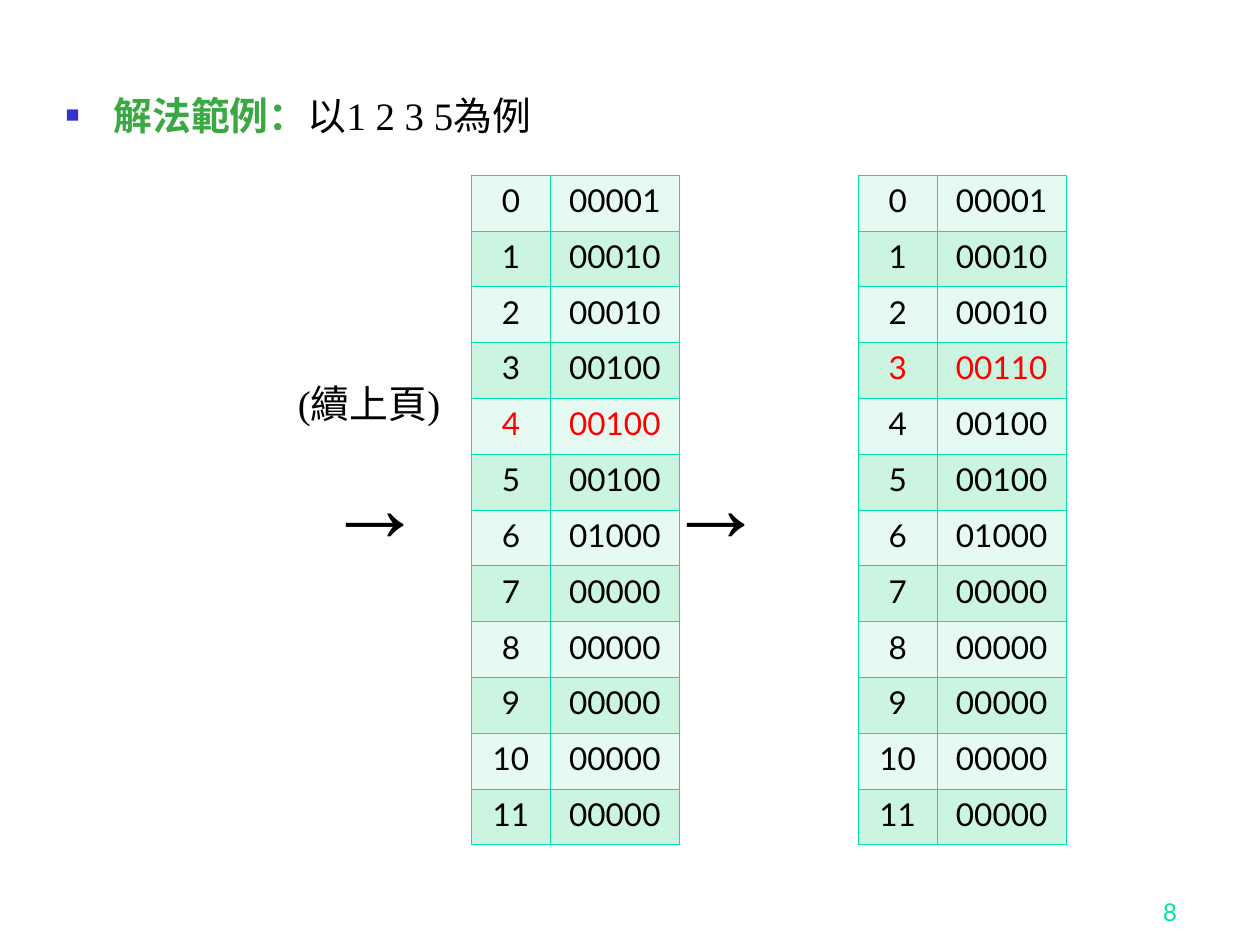
from lxml import etree
from pptx import Presentation
from pptx.dml.color import RGBColor
from pptx.enum import text as t
from pptx.oxml import ns
from pptx.util import Inches, Pt

BLACK = RGBColor(0x00, 0x00, 0x00)
RED = RGBColor(0xFF, 0x00, 0x00)
GREEN = RGBColor(0x3B, 0xA9, 0x43)
MINT = RGBColor(0x00, 0xE4, 0xA8)
BULLET_BLUE = RGBColor(0x33, 0x33, 0xCC)
ROW_FILLS = (RGBColor(0xE7, 0xFA, 0xF1), RGBColor(0xCB, 0xF5, 0xE1))

SERIF, SANS = "Times New Roman", "Lato"
BODY_SIZE, ARROW_SIZE = 22.2, 55.5

# Bit set of each sum, before and after the step
BEFORE = ["00001", "00010", "00010", "00100", "00100", "00100",
          "01000", "00000", "00000", "00000", "00000", "00000"]
AFTER = BEFORE[:3] + ["00110"] + BEFORE[4:]


def set_font(font, name, size, color):
    font.name = name
    font.size = Pt(size)
    font.color.rgb = color


def add_bullet(para, char, color, percent):
    """Give the paragraph a hanging bullet."""
    props = para._p.get_or_add_pPr()
    props.set("marL", str(Inches(0.38)))
    props.set("indent", str(-Inches(0.38)))
    fill = etree.SubElement(props, ns.qn("a:buClr"))
    etree.SubElement(fill, ns.qn("a:srgbClr"), val=str(color))
    etree.SubElement(props, ns.qn("a:buSzPct"), val=str(percent * 1000))
    etree.SubElement(props, ns.qn("a:buChar"), char=char)


def fill_body(body):
    """Place the body and write its bulleted heading."""
    body.left, body.top = Inches(0.42), Inches(0.75)
    body.width, body.height = Inches(8.83), Inches(6.15)
    para = body.text_frame.paragraphs[0]
    add_bullet(para, "■", BULLET_BLUE, 60)
    para.line_spacing = 0.8
    para.space_before = Pt(0)
    for words, color, bold in (("解法範例：", GREEN, True),
                               ("以1 2 3 5為例", BLACK, False)):
        span = para.add_run()
        span.text = words
        set_font(span.font, SERIF, BODY_SIZE, color)
        span.font.bold = bold


def add_label(page, words, place, name, size, color,
              align=t.PP_ALIGN.CENTER, anchor=t.MSO_ANCHOR.MIDDLE):
    box = page.shapes.add_textbox(*(Inches(length) for length in place))
    frame = box.text_frame
    frame.word_wrap = True
    frame.vertical_anchor = anchor
    para = frame.paragraphs[0]
    para.text = words
    para.alignment = align
    set_font(para.font, name, size, color)


def add_borders(cell):
    """Draw thin mint lines on all four sides, ahead of the cell fill."""
    props = cell._tc.get_or_add_tcPr()
    for place, side in enumerate(("a:lnL", "a:lnR", "a:lnT", "a:lnB")):
        line = etree.Element(ns.qn(side), w=str(Pt(0.45)))
        fill = etree.SubElement(line, ns.qn("a:solidFill"))
        etree.SubElement(fill, ns.qn("a:srgbClr"), val=str(MINT))
        props.insert(place, line)


def add_state_table(page, left, states, changed):
    """List sums with their bit sets, the changed row in red."""
    count, row_height, widths = len(states), 0.443, (0.63, 1.02)
    table = page.shapes.add_table(
        count, 2, Inches(left), Inches(1.39),
        Inches(sum(widths)), Inches(row_height * count)).table
    table.first_row = False
    for column, width in zip(table.columns, widths):
        column.width = Inches(width)
    for index, bits in enumerate(states):
        table.rows[index].height = Inches(row_height)
        for cell, words in zip(table.rows[index].cells, (str(index), bits)):
            cell.fill.solid()
            cell.fill.fore_color.rgb = ROW_FILLS[index % 2]
            add_borders(cell)
            para = cell.text_frame.paragraphs[0]
            para.text = words
            para.alignment = t.PP_ALIGN.CENTER
            set_font(para.font, SANS, 18, RED if index == changed else BLACK)


def main():
    deck = Presentation()
    deck.slide_width, deck.slide_height = Inches(10), Inches(7.5)
    page = deck.slides.add_slide(deck.slide_layouts[1])

    # Heading
    title = page.shapes.title
    title._element.getparent().remove(title._element)
    fill_body(page.placeholders[1])

    # Continuation label and step arrows
    add_label(page, "(續上頁)", (2.08, 2.95, 1.7, 0.5), SERIF, BODY_SIZE, BLACK)
    for left in (2.43, 5.13):
        add_label(page, "→", (left, 3.44, 1.1, 1.1), SERIF, ARROW_SIZE, BLACK)

    # Tables before and after the step
    add_state_table(page, 3.74, BEFORE, changed=4)
    add_state_table(page, 6.81, AFTER, changed=3)

    # Page number
    add_label(page, "8", (7.36, 6.9, 2.08, 0.5), SANS, 14, MINT,
              t.PP_ALIGN.RIGHT, t.MSO_ANCHOR.BOTTOM)

    deck.save("out.pptx")


if __name__ == "__main__":
    main()
